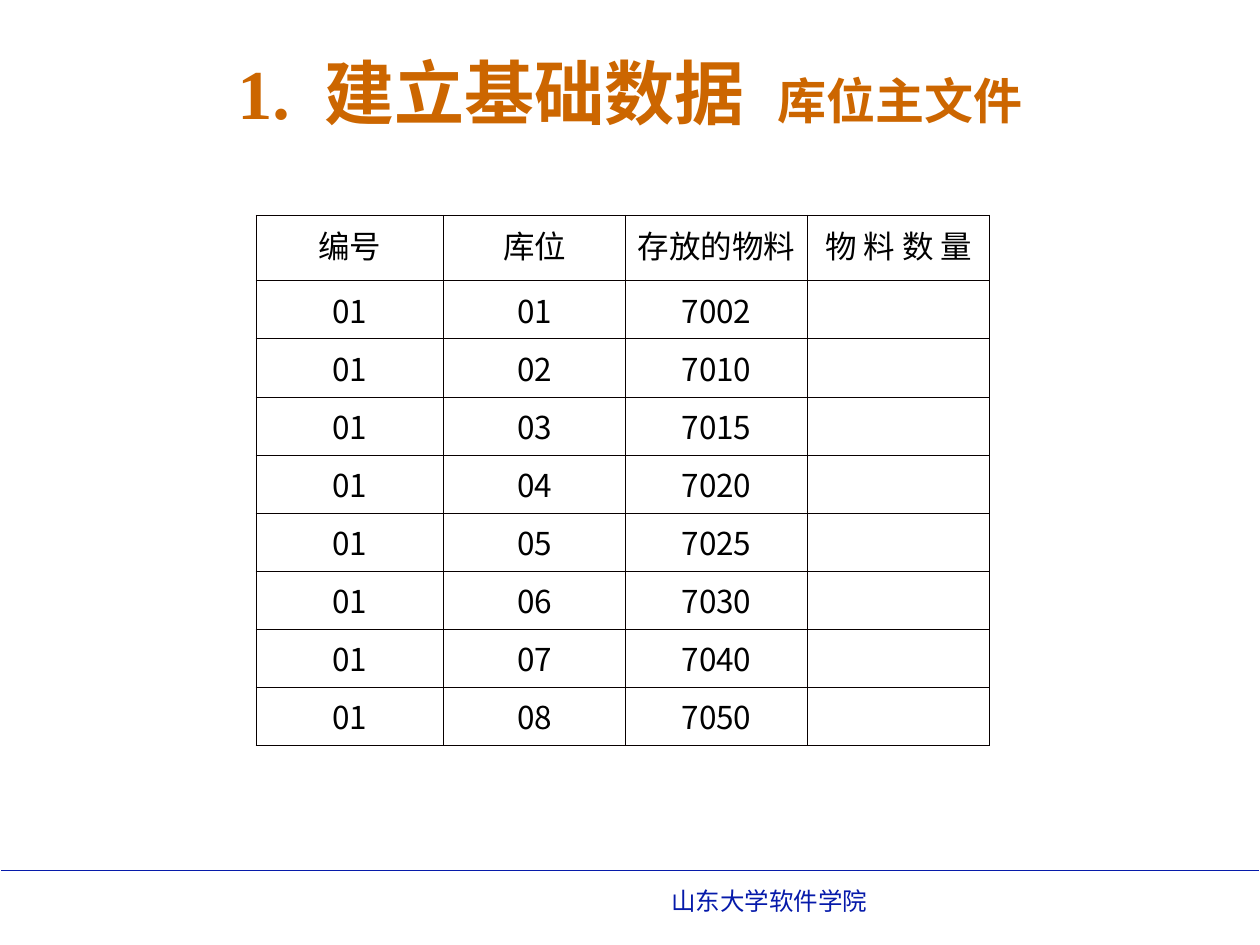
"""Build the storage-location master file slide."""
from dataclasses import dataclass

from lxml import etree
from pptx import Presentation
from pptx.dml.color import RGBColor
from pptx.enum.shapes import MSO_CONNECTOR
from pptx.enum.text import MSO_ANCHOR, PP_ALIGN
from pptx.oxml.ns import qn
from pptx.util import Cm, Pt

STRAIGHT = MSO_CONNECTOR.STRAIGHT
MIDDLE = MSO_ANCHOR.MIDDLE
LEFT, CENTER = PP_ALIGN.LEFT, PP_ALIGN.CENTER
COLORS = {"title": "CC6600", "footer": "061AAA", "text": "000000", "border": "080000"}
CJK = "Noto Sans CJK SC"
SERIF = "Times New Roman"
HEADERS = ("编号", "库位", "存放的物料", "物 料 数 量")
MATERIALS = (7002, 7010, 7015, 7020, 7025, 7030, 7040, 7050)


@dataclass
class Box:
    left: float
    top: float
    width: float
    height: float

    def emu(self) -> tuple:
        return Cm(self.left), Cm(self.top), Cm(self.width), Cm(self.height)


TITLE = Box(1.9, 0.79, 21.6, 2.11)
FOOTER = Box(13.28, 17.73, 11, 0.86)
TABLE = Box(5.16, 4.34, 14.79, 10.68)
COLUMN_WIDTHS = (3.78, 3.67, 3.67, 3.67)
HEADER_HEIGHT, ROW_HEIGHT = 1.32, 1.17


def add_text(tf, text: str, *, size: float, color: str, font: str = CJK,
             bold: bool = False, align=LEFT, spacing: float = 0) -> None:
    p = tf.paragraphs[0]
    p.alignment = align
    r = p.add_run()
    r.text = text
    r.font.size, r.font.bold, r.font.name = Pt(size), bold, font
    r.font.color.rgb = RGBColor.from_string(COLORS[color])
    rpr = r.font._element
    etree.SubElement(rpr, qn("a:ea")).set("typeface", CJK)
    if spacing:
        rpr.set("spc", str(round(spacing * 100)))


def add_title(s) -> None:
    sp = s.shapes.title
    sp.left, sp.top, sp.width, sp.height = TITLE.emu()
    tf = sp.text_frame
    tf.vertical_anchor = MIDDLE
    parts = (("1.", 40, 0), (" ", 40, 10), ("建立基础数据", 40, 0),
             (" ", 40, 10), ("库位主文件", 28, 0))
    for text, size, spacing in parts:
        add_text(tf, text, size=size, color="title", font=SERIF, bold=True,
                 align=CENTER, spacing=spacing)


def set_borders(cell) -> None:
    tcpr = cell._tc.get_or_add_tcPr()
    for i, side in enumerate(("lnL", "lnR", "lnT", "lnB")):
        ln = etree.Element(qn(f"a:{side}"), w=str(Pt(0.45)))
        fill = etree.SubElement(ln, qn("a:solidFill"))
        etree.SubElement(fill, qn("a:srgbClr")).set("val", COLORS["border"])
        tcpr.insert(i, ln)


def add_location_table(s) -> None:
    rows = [HEADERS] + [("01", f"{i:02}", str(material), "")
                        for i, material in enumerate(MATERIALS, 1)]
    table = s.shapes.add_table(len(rows), len(HEADERS), *TABLE.emu()).table
    table.first_row = table.horz_banding = False
    for column, width in zip(table.columns, COLUMN_WIDTHS):
        column.width = Cm(width)
    for i, values in enumerate(rows):
        table.rows[i].height = Cm(ROW_HEIGHT if i else HEADER_HEIGHT)
        for j, value in enumerate(values):
            cell = table.cell(i, j)
            cell.margin_left = cell.margin_right = Cm(0.18)
            cell.fill.background()
            set_borders(cell)
            if value:
                add_text(cell.text_frame, value, size=18, color="text", align=CENTER)


def add_footer(s) -> None:
    line = s.shapes.add_connector(STRAIGHT, Cm(0.03), Cm(17.55), Cm(25.37), Cm(17.55))
    line.line.color.rgb = RGBColor.from_string(COLORS["footer"])
    line.line.width = Pt(1)
    etree.SubElement(line._element.spPr, qn("a:effectLst"))
    tf = s.shapes.add_textbox(*FOOTER.emu()).text_frame
    tf.word_wrap = True
    add_text(tf, "山东大学软件学院", size=14, color="footer", font="Arial")


def main() -> None:
    prs = Presentation()
    prs.slide_width, prs.slide_height = Cm(25.4), Cm(19.05)
    s = prs.slides.add_slide(prs.slide_layouts[5])
    add_footer(s)
    add_title(s)
    add_location_table(s)
    prs.save("out.pptx")


if __name__ == "__main__":
    main()
